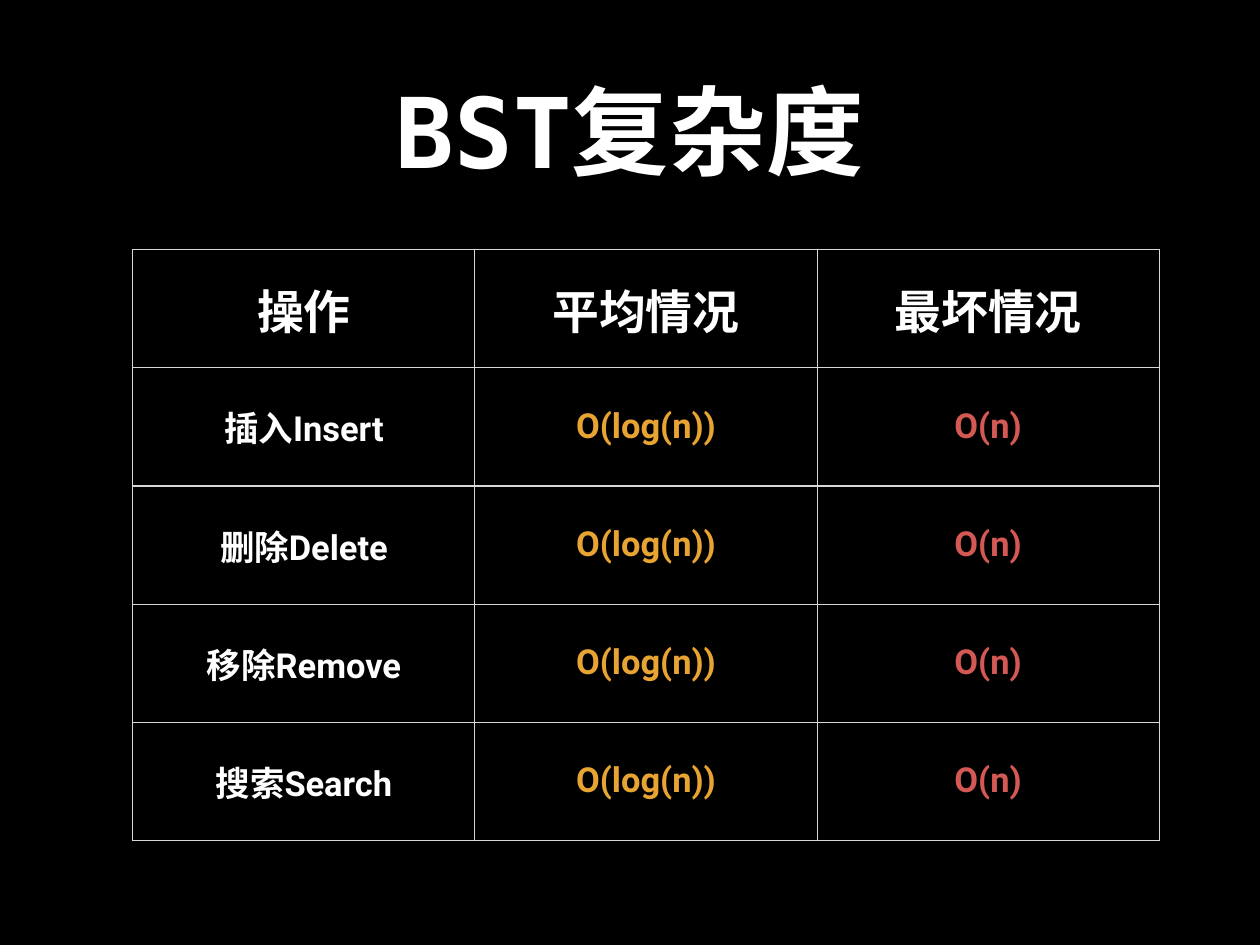
from pptx import Presentation
from pptx.util import Pt
from pptx.dml.color import RGBColor
from pptx.enum.text import PP_ALIGN, MSO_ANCHOR
from pptx.oxml import parse_xml
from pptx.oxml.ns import nsdecls

CENTER = PP_ALIGN.CENTER
MIDDLE = MSO_ANCHOR.MIDDLE

TITLE = "BST复杂度"
HEADS = ["操作", "平均情况", "最坏情况"]
TASKS = ["插入Insert", "删除Delete", "移除Remove", "搜索Search"]
COSTS = ["O(log(n))", "O(n)"]
ROWS = [HEADS] + [[task] + COSTS for task in TASKS]

BLACK, WHITE, GRAY = "000000", "FFFFFF", "D6D7D6"
TINTS = [WHITE, "E8A432", "D45854"]
COL_W, ROW_H = 278, 96
INSET = Pt(4)


def color(code):
    return RGBColor.from_string(code)


def write(frame, text, name, size, tint):
    frame.text = text
    para = frame.paragraphs[0]
    para.alignment = CENTER
    font = para.font
    font.name, font.size, font.bold = name, Pt(size), True
    font.color.rgb = color(tint)


def pad(box):
    box.margin_left = box.margin_right = INSET
    box.margin_top = box.margin_bottom = INSET
    box.vertical_anchor = MIDDLE


def border(cell):
    props = cell._tc.get_or_add_tcPr()
    for spot, side in enumerate("LRTB"):
        props.insert(spot, parse_xml(
            f'<a:ln{side} {nsdecls("a")} w="{Pt(1)}"><a:solidFill>'
            f'<a:srgbClr val="{GRAY}"/></a:solidFill></a:ln{side}>'))


def add_title(slide):
    title = slide.shapes.title
    title.left, title.top = Pt(75), Pt(20)
    title.width, title.height = Pt(874), Pt(170)
    pad(title.text_frame)
    write(title.text_frame, TITLE, "DejaVu Sans Mono", 79.2, WHITE)


def add_grid(slide):
    wide, high = len(HEADS), len(ROWS)
    grid = slide.shapes.add_table(
        high, wide, Pt(108), Pt(203), Pt(COL_W * wide), Pt(ROW_H * high)).table
    for r, row in enumerate(ROWS):
        for c, text in enumerate(row):
            cell = grid.cell(r, c)
            size, tint = (28, TINTS[c]) if r else (38, WHITE)
            pad(cell)
            write(cell.text_frame, text, "Roboto", size, tint)
            cell.fill.solid()
            cell.fill.fore_color.rgb = color(BLACK)
            border(cell)


def main():
    deck = Presentation()
    deck.slide_width, deck.slide_height = Pt(1024), Pt(768)
    slide = deck.slides.add_slide(deck.slide_layouts[5])
    back = slide.background.fill
    back.solid()
    back.fore_color.rgb = color(BLACK)
    add_title(slide)
    add_grid(slide)
    deck.save("out.pptx")


if __name__ == "__main__":
    main()
